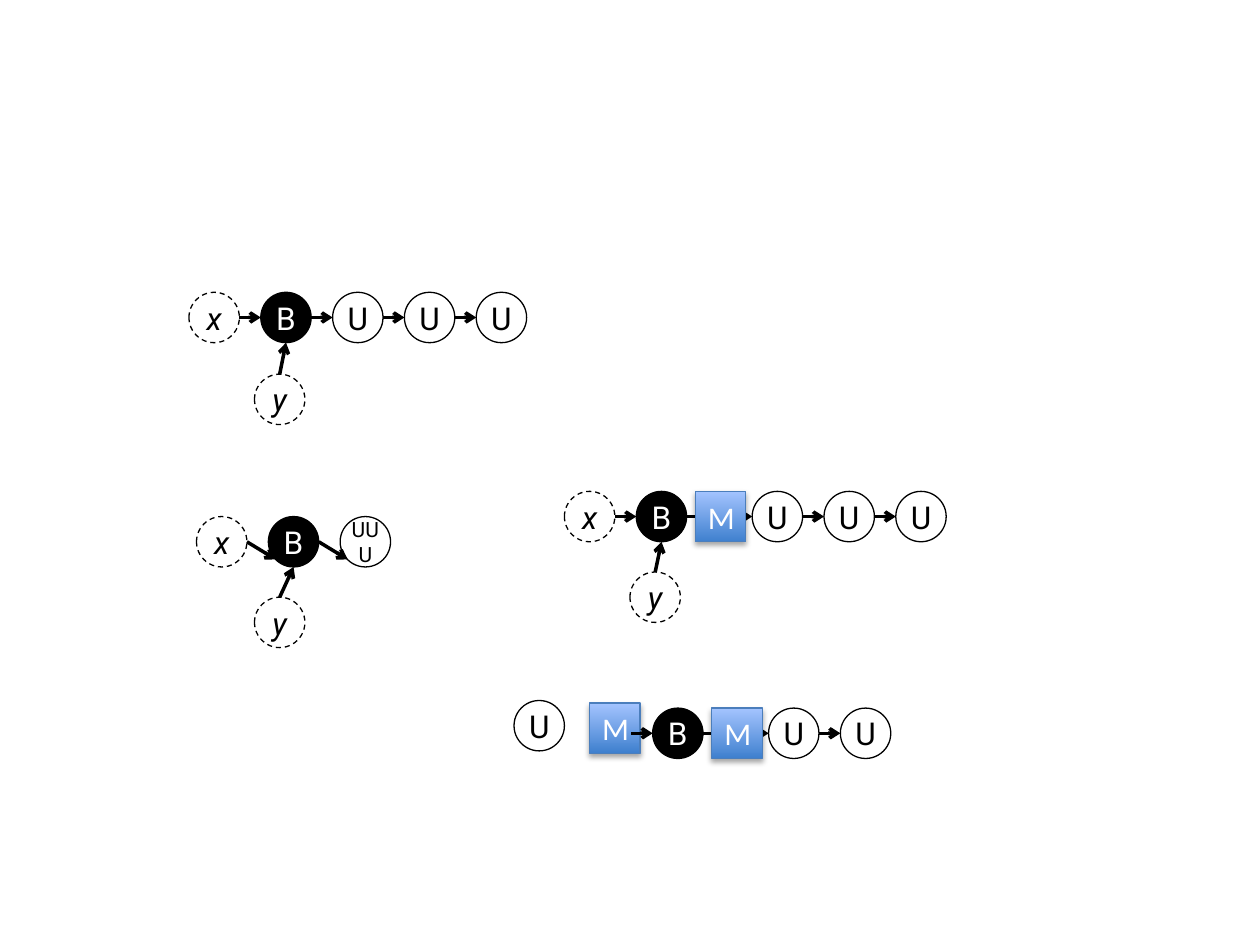
from lxml import etree
from pptx import Presentation
from pptx.dml.color import RGBColor
from pptx.enum.dml import MSO_LINE
from pptx.enum.shapes import MSO_CONNECTOR, MSO_SHAPE
from pptx.enum.text import MSO_ANCHOR, PP_ALIGN
from pptx.oxml.ns import qn
from pptx.util import Inches, Pt

OVAL = MSO_SHAPE.OVAL
SQUARE = MSO_SHAPE.RECTANGLE
STRAIGHT = MSO_CONNECTOR.STRAIGHT
DASH = MSO_LINE.DASH
MIDDLE = MSO_ANCHOR.MIDDLE
CENTER = PP_ALIGN.CENTER

SIZE = 0.4
STEP = 0.57
MIDDLE_STEP = 0.92
SQUARE_STEP = 0.47
SITES = {"left": (0, 0.2), "right": (0.4, 0.2), "top": (0.2, 0),
         "bottom": (0.2, 0.4), "corner": (0.06, 0.34)}
STYLES = {
    "input": {"fill": "FFFFFF", "text": "000000", "dash": DASH, "italic": True},
    "unary": {"fill": "FFFFFF", "text": "000000", "dash": None, "italic": None},
    "binary": {"fill": "000000", "text": "FFFFFF", "dash": None, "italic": None},
}
KINDS = {"x": "input", "y": "input", "B": "binary"}


def color(value):
    return RGBColor.from_string(value)


def write_label(shape, label, values):
    frame = shape.text_frame
    frame.word_wrap = True
    frame.vertical_anchor = MIDDLE
    para = frame.paragraphs[0]
    para.alignment = CENTER
    span = para.add_run()
    span.text = label
    font_values = {"name": values["font"], "size": Pt(values["size"]),
                   "italic": values["italic"]}
    for name, value in font_values.items():
        setattr(span.font, name, value)
    span.font.color.rgb = color(values["text"])


def add_node(page, left, top, label):
    style = STYLES[KINDS.get(label, "unary")]
    node = page.shapes.add_shape(OVAL, Inches(left), Inches(top), Inches(SIZE), Inches(SIZE))
    node.shadow.inherit = False
    node.fill.solid()
    node.fill.fore_color.rgb = color(style["fill"])
    node.line.color.rgb = color("000000")
    node.line.width = Pt(0.75)
    node.line.dash_style = style["dash"]
    for side in ("left", "top", "right", "bottom"):
        setattr(node.text_frame, "margin_" + side, 0)
    size = 18 if len(label) == 1 else 12
    write_label(node, label, {**style, "font": "Roboto", "size": size})


def add_square(page, left, top):
    square = page.shapes.add_shape(SQUARE, Inches(left), Inches(top), Inches(SIZE), Inches(SIZE))
    square.shadow.inherit = False
    square.fill.gradient()
    square.fill.gradient_angle = 90
    for stop, value in zip(square.fill.gradient_stops, ("3F80CE", "A4C4FF")):
        stop.color.rgb = color(value)
    square.line.color.rgb = color("4B7EBC")
    square.line.width = Pt(0.75)
    effects = square.element.spPr.find(qn("a:effectLst"))
    shadow = etree.SubElement(effects, qn("a:outerShdw"), blurRad=str(Pt(3.1)),
                              dist=str(Pt(1.8)), dir="5400000", rotWithShape="0")
    shade = etree.SubElement(shadow, qn("a:srgbClr"), val="000000")
    etree.SubElement(shade, qn("a:alpha"), val="35000")
    write_label(square, "M", {"font": "Calibri", "size": 18, "italic": None, "text": "FFFFFF"})


def site(left, top, name):
    across, down = SITES[name]
    return left + across, top + down


def add_arrow(page, tip, tail):
    points = [Inches(value) for value in (*tip, *tail)]
    arrow = page.shapes.add_connector(STRAIGHT, *points)
    arrow.line.color.rgb = color("000000")
    arrow.line.width = Pt(2)
    properties = arrow.element.spPr
    etree.SubElement(properties.find(qn("a:ln")), qn("a:headEnd"), type="arrow")
    etree.SubElement(properties, qn("a:effectLst"))


def add_chain(page, left, top, labels, branch=None, entry="left", has_square=False):
    places = []
    for label in labels:
        places.append(left)
        add_node(page, left, top, label)
        left += MIDDLE_STEP if has_square and label == "B" else STEP
    for before, after in zip(places, places[1:]):
        add_arrow(page, site(after, top, entry), site(before, top, "right"))
    binary = places[labels.index("B")]
    if branch:
        branch_left, branch_top = branch
        add_node(page, branch_left, branch_top, "y")
        add_arrow(page, site(binary, top, "bottom"), site(branch_left, branch_top, "top"))
    if labels[0] == "B":
        add_arrow(page, site(binary, top, "left"), site(binary - STEP, top, "right"))
    if has_square:
        add_square(page, binary + SQUARE_STEP, top)


def main():
    deck = Presentation()
    deck.slide_width = Inches(10)
    deck.slide_height = Inches(7.5)
    page = deck.slides.add_slide(deck.slide_layouts[6])
    add_chain(page, 1.5, 2.32, ["x", "B", "U", "U", "U"], branch=(2.02, 2.97))
    add_chain(page, 1.56, 4.1, ["x", "B", "UUU"], branch=(2.02, 4.74), entry="corner")
    add_chain(page, 4.48, 3.9, ["x", "B", "U", "U", "U"], branch=(5, 4.54), has_square=True)
    add_square(page, 4.68, 5.58)
    add_chain(page, 5.18, 5.62, ["B", "U", "U"], has_square=True)
    add_node(page, 4.08, 5.56, "U")
    deck.save("out.pptx")


if __name__ == "__main__":
    main()
